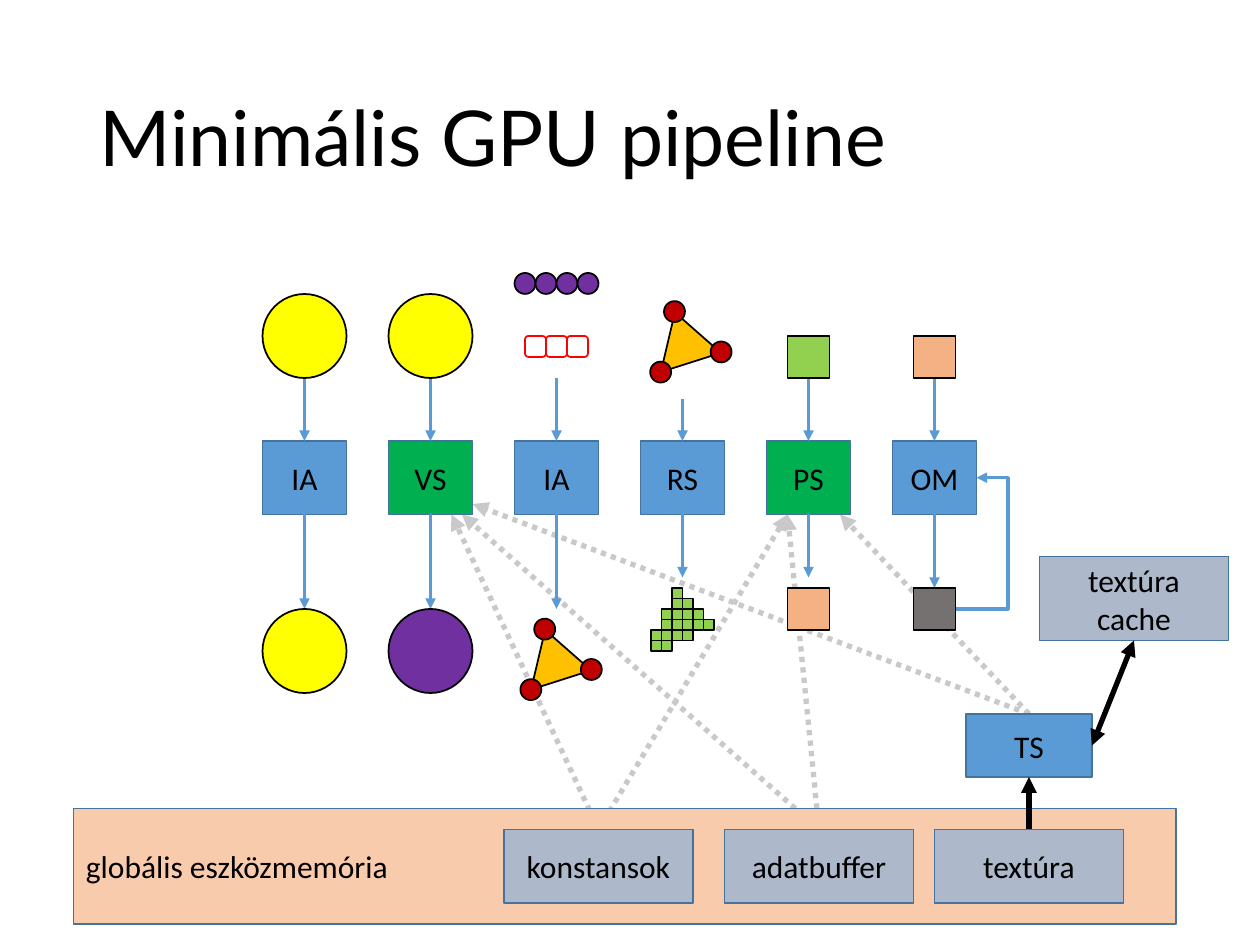
from dataclasses import dataclass
from typing import NamedTuple

from pptx import Presentation
from pptx.dml.color import RGBColor as RGB
from pptx.enum.dml import MSO_LINE as Dash
from pptx.enum.shapes import MSO_CONNECTOR as Link, MSO_SHAPE as Kind
from pptx.enum.text import MSO_ANCHOR as Anchor, PP_ALIGN as Align
from pptx.oxml.ns import qn
from pptx.util import Cm, Pt
from lxml.etree import SubElement as sub


@dataclass(frozen=True)
class Theme:
    head: str = "Lato"
    body: str = "Calibri"
    head_size: int = 44
    body_size: int = 18
    black: str = "000000"
    white: str = "FFFFFF"
    blue: str = "5B9BD5"
    edge: str = "43739E"
    green: str = "00B050"
    lime: str = "92D050"
    peach: str = "F4B183"
    pale: str = "F8CBAD"
    steel: str = "ADB9CA"
    dark: str = "767171"
    dots: str = "C9C9C9"
    yellow: str = "FFFF00"
    purple: str = "7030A0"
    gold: str = "FFC000"
    red: str = "FF0000"
    wine: str = "C00000"


T = Theme()


class Stage(NamedTuple):
    name: str
    fill: str
    start: float  # top of the arrow coming in
    end: float  # tip of the arrow going out


class Box(NamedTuple):
    text: str
    x: float
    y: float
    w: float
    h: float
    fill: str
    align: Align = Align.CENTER


class Arrow(NamedTuple):
    x1: float
    y1: float
    x2: float
    y2: float


STAGES = [
    Stage("IA", T.blue, 36, 58),
    Stage("VS", T.green, 36, 58),
    Stage("IA", T.blue, 36, 58),
    Stage("RS", T.blue, 38, 55),
    Stage("PS", T.green, 36, 55),
    Stage("OM", T.blue, 36, 56),
]
BOXES = [
    Box("globális eszközmemória", 7, 77, 105, 11, T.pale, Align.LEFT),
    Box("konstansok", 48, 79, 18, 7, T.steel),
    Box("adatbuffer", 69, 79, 18, 7, T.steel),
    Box("textúra", 89, 79, 18, 7, T.steel),
    Box("TS", 92, 68, 12, 6, T.blue),
    Box("textúra\ncache", 99, 53, 18, 8, T.steel),
]
READS = [
    Arrow(78, 79, 75, 49),
    Arrow(98, 68, 80, 49),
    Arrow(98, 68, 45, 48),
    Arrow(57, 79, 75, 49),
    Arrow(57, 79, 43, 49),
    Arrow(78, 79, 44, 49),
]
# First column and length of each row of fragments
RASTER = [(64, 1), (64, 2), (63, 4), (63, 5), (62, 4), (62, 2)]


def grid(n: float) -> Cm:
    """Turn grid steps, twelve to the inch, into a length."""
    return Cm(n * 2.54 / 12)


def write(frame, text: str, *, font=T.body, size=T.body_size,
          align=Align.CENTER, gap=1.0) -> None:
    frame.text = text
    frame.word_wrap = True
    frame.vertical_anchor = Anchor.MIDDLE
    for par in frame.paragraphs:
        par.alignment = align
        par.line_spacing = gap
        par.font.name = font
        par.font.size = Pt(size)
        par.font.color.rgb = RGB.from_string(T.black)


def draw(host, kind: Kind, x: float, y: float, w: float, h: float,
         fill: str, line: str = T.black, turn: float = 0):
    shape = host.shapes.add_shape(kind, grid(x), grid(y), grid(w), grid(h))
    shape.shadow.inherit = False
    shape.fill.solid()
    shape.fill.fore_color.rgb = RGB.from_string(fill)
    shape.line.color.rgb = RGB.from_string(line)
    shape.line.width = Pt(1)
    shape.rotation = turn
    return shape


def label(host, box: Box) -> None:
    shape = draw(host, Kind.RECTANGLE, *box[1:6], line=T.edge)
    write(shape.text_frame, box.text, align=box.align)


def point(host, arrow: Arrow, color: str = T.blue, width: float = 2,
          dash=None, both: bool = False, bend: float = 0) -> None:
    """Draw an arrow; bend places the elbow as a share of the width."""
    kind = Link.ELBOW if bend else Link.STRAIGHT
    link = host.shapes.add_connector(kind, *map(grid, arrow))
    link.line.color.rgb = RGB.from_string(color)
    link.line.width = Pt(width)
    if dash:
        link.line.dash_style = dash
    props = link._element.spPr
    line = props.find(qn("a:ln"))
    for end in ("a:headEnd", "a:tailEnd")[0 if both else 1:]:
        sub(line, qn(end), type="triangle")
    sub(props, qn("a:effectLst"))
    if bend:
        shape = props.find(qn("a:prstGeom"))
        guides = shape.find(qn("a:avLst"))
        if guides is None:
            guides = sub(shape, qn("a:avLst"))
        sub(guides, qn("a:gd"), name="adj1", fmla=f"val {int(bend * 100000)}")


def mesh(host, x: float, y: float) -> None:
    """Draw a tilted triangle with a dot on each corner."""
    group = host.shapes.add_group_shape()
    tilt = 342.3
    draw(group, Kind.ISOSCELES_TRIANGLE, x, y, 6, 5, T.gold, turn=tilt)
    for dx, dy in [(1.2, -0.96), (-0.12, 4.8), (5.64, 2.88)]:
        draw(group, Kind.OVAL, x + dx, y + dy, 2, 2, T.wine, turn=tilt)


def main() -> None:
    deck = Presentation()
    deck.slide_width, deck.slide_height = Cm(25.4), Cm(19.05)
    slide = deck.slides.add_slide(deck.slide_layouts[5])

    title = slide.shapes.title
    title.left, title.top = Cm(1.75), Cm(1.02)
    title.width, title.height = Cm(21.9), Cm(3.68)
    write(title.text_frame, "Minimális GPU pipeline", font=T.head,
          size=T.head_size, align=Align.LEFT, gap=0.9)

    for read in READS:
        point(slide, read, T.dots, 3, Dash.ROUND_DOT)

    for i, stage in enumerate(STAGES):
        x = 25 + 12 * i
        label(slide, Box(stage.name, x, 42, 8, 7, stage.fill))
        point(slide, Arrow(x + 4, stage.start, x + 4, 42))
        point(slide, Arrow(x + 4, 49, x + 4, stage.end))

    for x, y, fill in [(25, 28, T.yellow), (37, 28, T.yellow),
                       (25, 58, T.yellow), (37, 58, T.purple)]:
        draw(slide, Kind.OVAL, x, y, 8, 8, fill)

    chain = slide.shapes.add_group_shape()
    for i in range(4):
        draw(chain, Kind.OVAL, 49 + 2 * i, 26, 2, 2, T.purple)
    for i in range(3):
        draw(slide, Kind.ROUNDED_RECTANGLE, 50 + 2 * i, 32, 2, 2,
             T.white, T.red)

    mesh(slide, 62.04, 29.64)
    mesh(slide, 49.68, 59.88)

    for row, (first, count) in enumerate(RASTER):
        for col in range(first, first + count):
            draw(slide, Kind.RECTANGLE, col, 56 + row, 1, 1, T.lime)

    for x, y, fill in [(75, 32, T.lime), (75, 56, T.peach),
                       (87, 32, T.peach), (87, 56, T.dark)]:
        draw(slide, Kind.RECTANGLE, x, y, 4, 4, fill)
    point(slide, Arrow(91, 58, 93, 45.5), bend=2.5)

    for box in BOXES:
        label(slide, box)
    point(slide, Arrow(98, 79, 98, 74), T.black, 3)
    point(slide, Arrow(108, 61, 104, 71), T.black, 3, both=True)

    deck.save("out.pptx")


if __name__ == "__main__":
    main()
